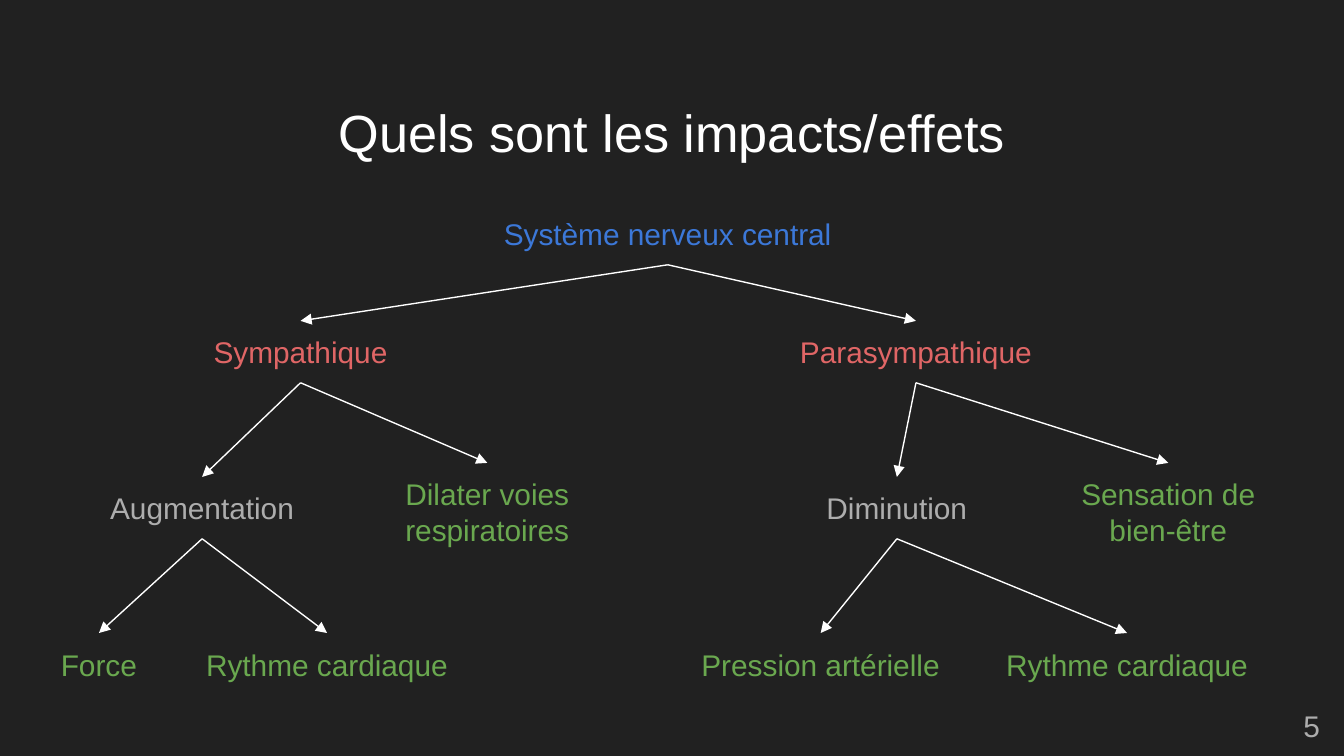
"""Build a slide with a tree of the effects of the nervous system."""
from dataclasses import dataclass

from lxml import etree
from pptx import Presentation
from pptx import util as u
from pptx.dml import color
from pptx.enum import shapes, text
from pptx.oxml import ns


@dataclass(frozen=True)
class Theme:
    """Colours, type and sizes of the slide."""
    back: str = "212121"
    white: str = "FFFFFF"
    blue: str = "3C78D8"
    red: str = "E06666"
    grey: str = "ADADAD"
    green: str = "6AA84F"
    face: str = "Arial"
    head: float = 28
    label: float = 16
    row: float = 1.17
    tall: float = 1.7
    edge: float = 0.25


@dataclass(frozen=True)
class Node:
    """One label of the tree, placed by its centre, with its branches."""
    words: str
    x: float
    y: float
    wide: float
    tint: str
    high: float = Theme.row
    kids: tuple = ()


LOOK = Theme()
ROWS = (4.42, 6.65, 9.6, 12.55)


def leaf(words, x, row=3, high=LOOK.row):
    """Return a green end label."""
    return Node(words, x, ROWS[row], 5.1, LOOK.green, high)


TREE = Node("Système nerveux central", 12.62, ROWS[0], 7.47, LOOK.blue, kids=(
    Node("Sympathique", 5.68, ROWS[1], 4.7, LOOK.red, kids=(
        Node("Augmentation", 3.82, ROWS[2], 4.7, LOOK.grey, kids=(
            Node("Force", 1.87, ROWS[3], 2.21, LOOK.green),
            leaf("Rythme cardiaque", 6.18))),
        leaf("Dilater voies respiratoires", 9.21, 2, LOOK.tall))),
    Node("Parasympathique", 17.31, ROWS[1], 6.02, LOOK.red, kids=(
        Node("Diminution", 16.95, ROWS[2], 4.7, LOOK.grey, kids=(
            leaf("Pression artérielle", 15.51),
            leaf("Rythme cardiaque", 21.3))),
        leaf("Sensation de bien-être", 22.08, 2, LOOK.tall)))))


def assign(item, values):
    """Set each named value on the item."""
    for name, value in values.items():
        setattr(item, name, value)


def write(shape, words, size, tint, anchor=text.MSO_ANCHOR.TOP):
    """Put centred, formatted words in a shape."""
    frame = shape.text_frame
    frame.text = words
    pad = u.Cm(LOOK.edge)
    assign(frame, {
        "word_wrap": True, "auto_size": text.MSO_AUTO_SIZE.NONE,
        "vertical_anchor": anchor, "margin_left": pad, "margin_right": pad,
        "margin_top": pad, "margin_bottom": pad})
    line = frame.paragraphs[0]
    line.alignment = text.PP_ALIGN.CENTER
    font = line.runs[0].font
    assign(font, {"name": LOOK.face, "size": u.Pt(size)})
    font.color.rgb = color.RGBColor.from_string(tint)


def title(slide, words):
    """Place and fill the title."""
    shape = slide.shapes.title
    assign(shape, {"left": u.Cm(0.86), "top": u.Cm(1.63),
                   "width": u.Cm(23.67), "height": u.Cm(1.7)})
    write(shape, words, LOOK.head, LOOK.white, text.MSO_ANCHOR.BOTTOM)


def label(slide, node):
    """Add the text of one node."""
    box = slide.shapes.add_textbox(
        u.Cm(node.x - node.wide / 2), u.Cm(node.y - node.high / 2),
        u.Cm(node.wide), u.Cm(node.high))
    write(box, node.words, LOOK.label, node.tint)


def arrow(slide, start, end):
    """Draw an arrow from the foot of one node to the top of another."""
    link = slide.shapes.add_connector(
        shapes.MSO_CONNECTOR.STRAIGHT,
        u.Cm(start.x), u.Cm(start.y + start.high / 2),
        u.Cm(end.x), u.Cm(end.y - end.high / 2))
    link.line.width = u.Pt(0.75)
    link.line.color.rgb = color.RGBColor.from_string(LOOK.white)
    tip = etree.SubElement(link.line._get_or_add_ln(), ns.qn("a:tailEnd"))
    tip.set("type", "triangle")
    etree.SubElement(link._element.spPr, ns.qn("a:effectLst"))


def branch(slide, node):
    """Draw a node and all that hangs from it."""
    label(slide, node)
    for kid in node.kids:
        arrow(slide, node, kid)
        branch(slide, kid)


def main():
    """Build and save the slide."""
    deck = Presentation()
    assign(deck, {"slide_width": u.Cm(25.4), "slide_height": u.Cm(14.29)})
    slide = deck.slides.add_slide(deck.slide_layouts.get_by_name("Title Only"))
    fill = slide.background.fill
    fill.solid()
    fill.fore_color.rgb = color.RGBColor.from_string(LOOK.back)
    title(slide, "Quels sont les impacts/effets")
    branch(slide, TREE)
    label(slide, Node("5", 24.79, 13.72, 1.22, LOOK.grey))
    deck.save("out.pptx")


if __name__ == "__main__":
    main()
